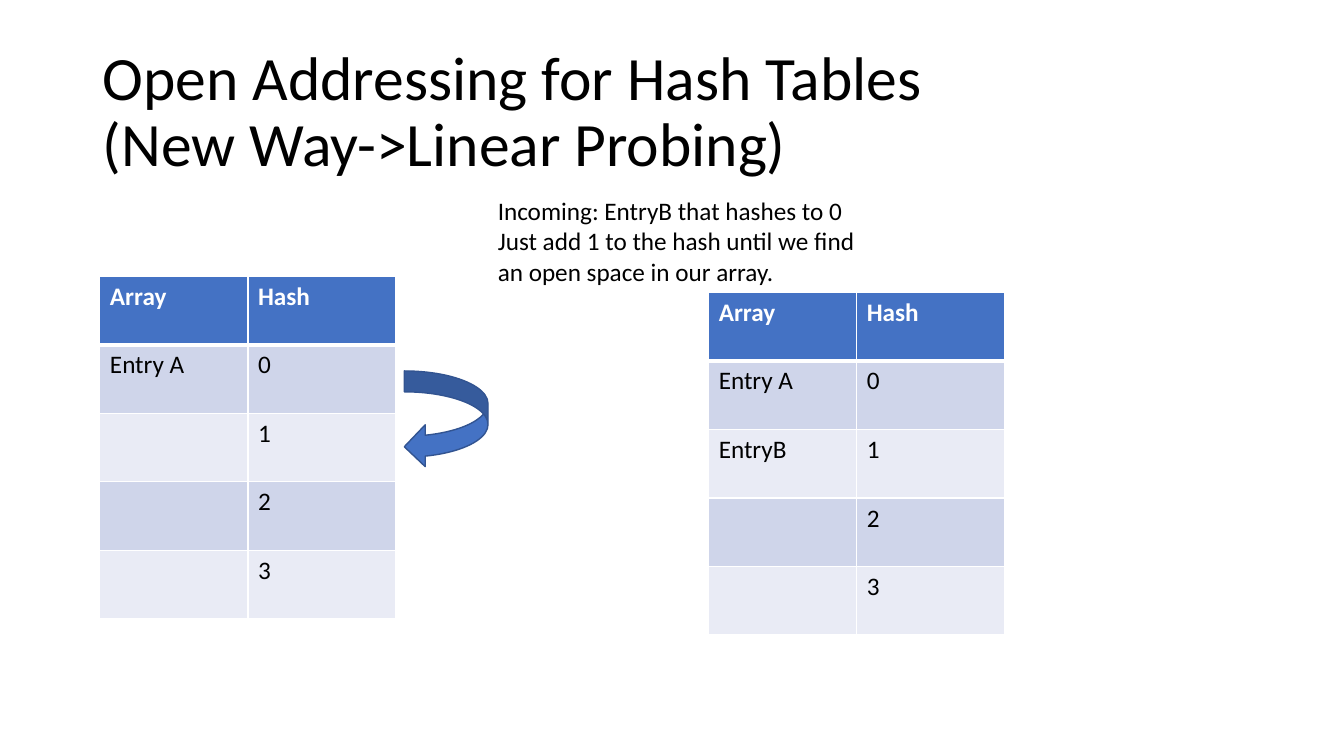
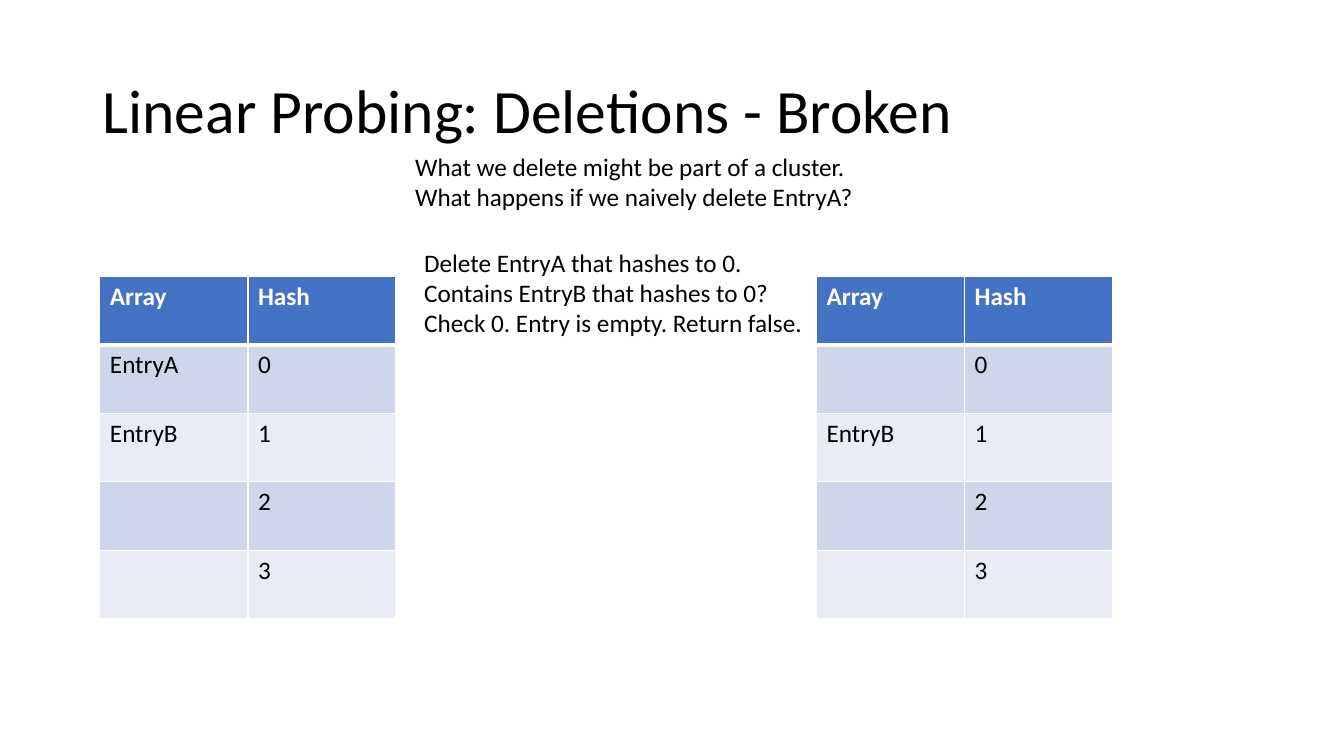
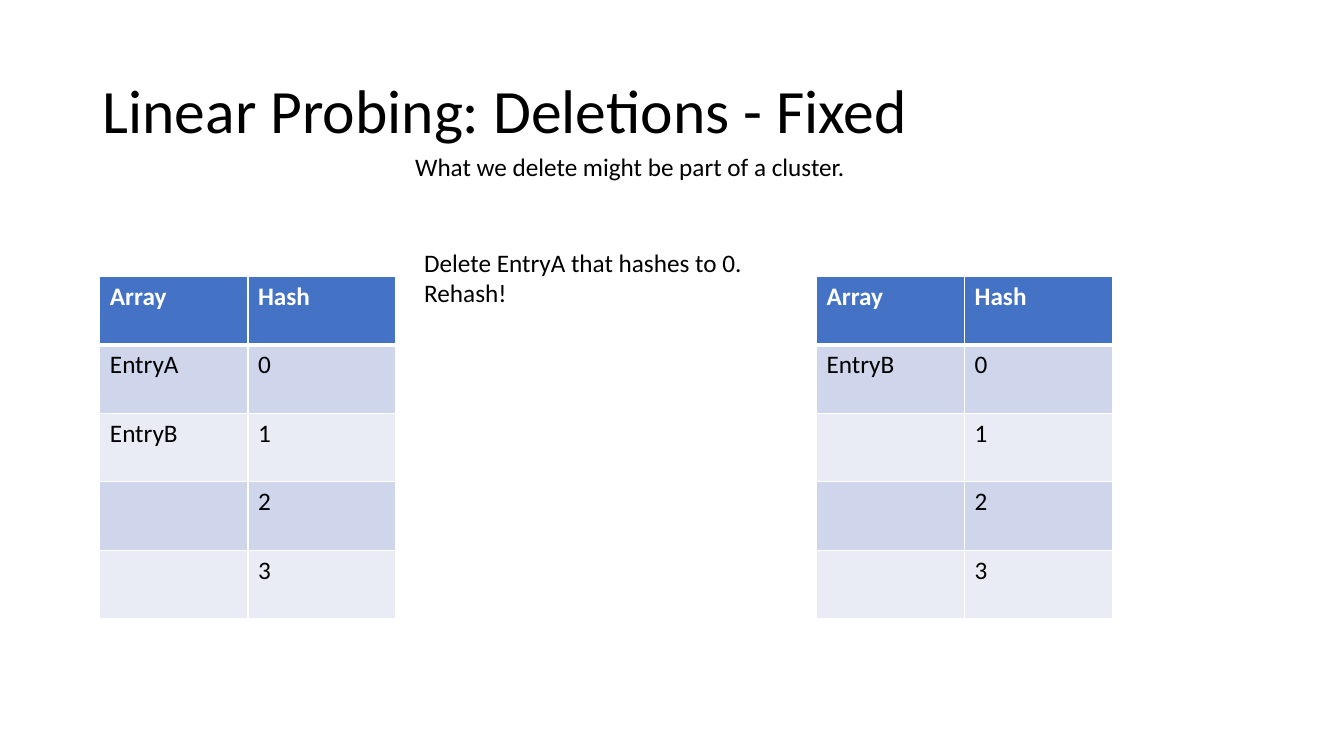
from lxml import etree
from pptx import Presentation
from pptx import util as u
from pptx.dml.color import RGBColor
from pptx.enum import shapes, text
from pptx.oxml import ns

WIDTH, HEIGHT = u.Inches(13.33), u.Inches(7.5)
FONT = "Calibri"
BLACK, WHITE, BLUE, DARK_BLUE = "000000", "FFFFFF", "4472C4", "325491"
BANDS = ("CFD5EA", "E9EBF5")
TITLE_AREA = (6.9, 5.33, 86.25, 19.33)
COLUMN, ROW, SLOTS = 11.02, 9.07, 4
LEFT_TABLE, RIGHT_TABLE, TABLE_TOP = 7.43, 60.75, 36.53
LINE, PADDING = 4.04, 1.33


def color(value):
    """Turn a hex string into a colour."""
    return RGBColor.from_string(value)


def across(share):
    """Length of a percentage of the slide's width."""
    return u.Emu(round(WIDTH * share / 100))


def down(share):
    """Length of a percentage of the slide's height."""
    return u.Emu(round(HEIGHT * share / 100))


def place(left, top, width, height):
    """Position and size from shares of the slide."""
    return across(left), down(top), across(width), down(height)


def style(para, size=18, fill=BLACK, bold=False):
    """Set the font of a paragraph."""
    para.font.name, para.font.size, para.font.bold = FONT, u.Pt(size), bold
    para.font.color.rgb = color(fill)


def add_title(page, wording):
    """Add the slide title."""
    frame = page.shapes.add_textbox(*place(*TITLE_AREA)).text_frame
    frame.word_wrap = True
    frame.vertical_anchor = text.MSO_ANCHOR.MIDDLE
    para = frame.paragraphs[0]
    para.text, para.line_spacing = wording, 0.9
    style(para, 44)


def add_note(page, left, top, width, *lines):
    """Add a text box with one paragraph for each line."""
    height = PADDING + LINE * len(lines)
    frame = page.shapes.add_textbox(*place(left, top, width, height)).text_frame
    frame.word_wrap = False
    frame.auto_size = text.MSO_AUTO_SIZE.SHAPE_TO_FIT_TEXT
    frame.text = "\n".join(lines)
    for para in frame.paragraphs:
        style(para)


def add_borders(cell, top, bottom):
    """Draw white borders around a cell, widths in points."""
    sides = (("L", 1), ("R", 1), ("T", top), ("B", bottom))
    properties = cell._tc.get_or_add_tcPr()
    for index, (side, points) in enumerate(sides):
        line = etree.Element(ns.qn(f"a:ln{side}"), w=str(u.Pt(points)))
        fill = etree.SubElement(line, ns.qn("a:solidFill"))
        etree.SubElement(fill, ns.qn("a:srgbClr"), val=WHITE)
        properties.insert(index, line)


def add_hash_table(page, left, top, entries):
    """Add an array table, entries keyed by their hash slot."""
    rows = [("Array", "Hash")]
    rows += [(entries.get(slot, ""), str(slot)) for slot in range(SLOTS)]
    area = place(left, top, 2 * COLUMN, ROW * len(rows))
    table = page.shapes.add_table(len(rows), 2, *area).table
    for number, row in enumerate(rows):
        header = number == 0
        for cell, wording in zip(table.rows[number].cells, row):
            cell.text = wording
            cell.fill.solid()
            cell.fill.fore_color.rgb = color(BLUE if header else BANDS[(number - 1) % 2])
            style(cell.text_frame.paragraphs[0], fill=WHITE if header else BLACK, bold=header)
            add_borders(cell, 3 if number == 1 else 1, 3 if header else 1)


def add_probe_arrow(page, *area):
    """Add the curved arrow from one slot to the next."""
    arrow = page.shapes.add_shape(shapes.MSO_SHAPE.CURVED_LEFT_ARROW, *place(*area))
    arrow.shadow.inherit = False
    arrow.fill.solid()
    arrow.fill.fore_color.rgb = color(BLUE)
    arrow.line.color.rgb = color(DARK_BLUE)
    arrow.line.width = u.Pt(1)


def add_page(deck, title, before):
    """Add a slide with its title and the table at the left."""
    page = deck.slides.add_slide(deck.slide_layouts[6])
    add_title(page, title)
    add_hash_table(page, LEFT_TABLE, TABLE_TOP, before)
    return page


def add_deletion_page(deck, outcome, after, intro, steps):
    """Add a slide on deleting EntryA."""
    page = add_page(deck, f"Linear Probing: Deletions - {outcome}", {0: "EntryA", 1: "EntryB"})
    add_note(page, 30.15, 19.33, 34.43, "What we delete might be part of a cluster.", *intro)
    add_note(page, 30.83, 32, 29.93, "Delete EntryA that hashes to 0.", *steps)
    add_hash_table(page, RIGHT_TABLE, TABLE_TOP, after)


def main():
    """Build and save the deck."""
    deck = Presentation()
    deck.slide_width, deck.slide_height = WIDTH, HEIGHT

    page = add_page(deck, "Open Addressing for Hash Tables\n(New Way->Linear Probing)", {0: "Entry A"})
    add_note(page, 36.3, 25.2, 28.88, "Incoming: EntryB that hashes to 0",
             "Just add 1 to the hash until we find", "an open space in our array.")
    add_probe_arrow(page, 30.08, 49.07, 6.23, 12.8)
    add_hash_table(page, 52.73, 38.67, {0: "Entry A", 1: "EntryB"})

    add_deletion_page(deck, "Broken", {1: "EntryB"},
                      ["What happens if we naively delete EntryA?"],
                      ["Contains EntryB that hashes to 0?", "Check 0. Entry is empty. Return false."])
    add_deletion_page(deck, "Fixed", {0: "EntryB"}, [], ["Rehash!"])
    deck.save("out.pptx")


if __name__ == "__main__":
    main()
